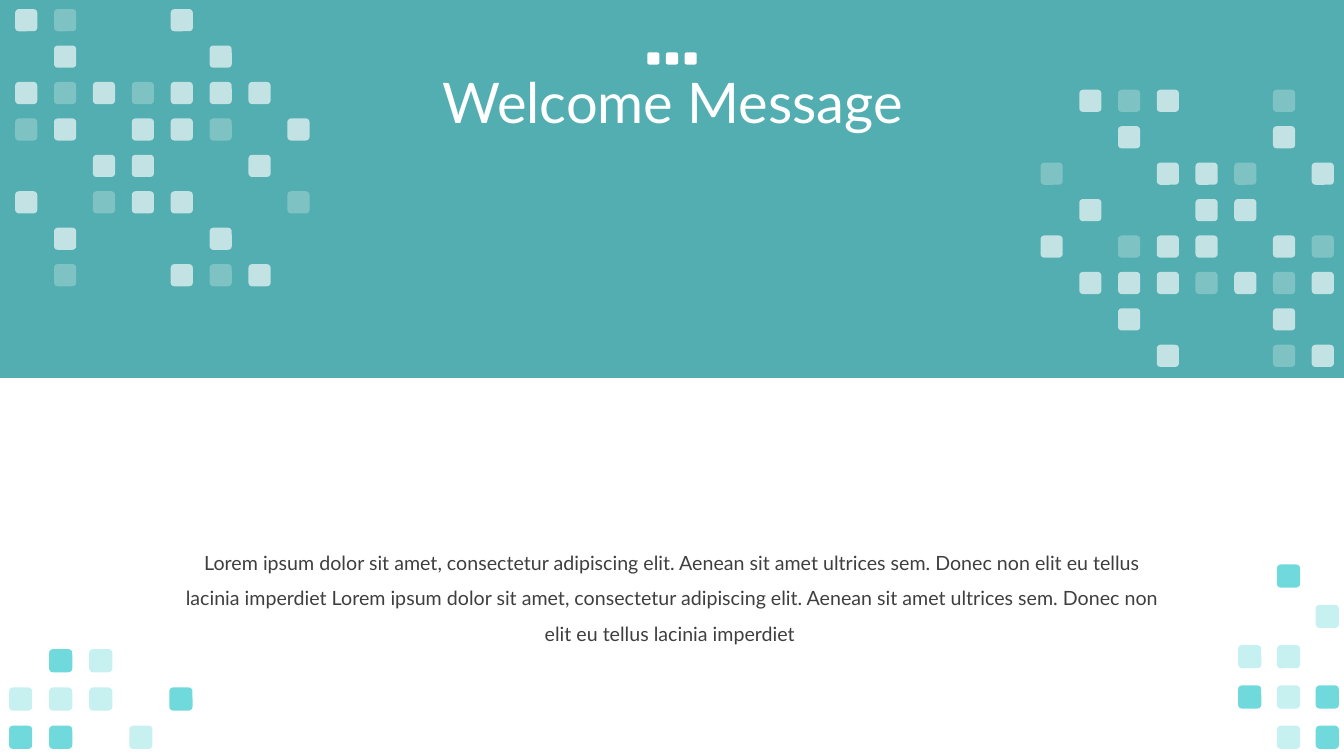
"""Build a welcome slide with a teal band and mosaics of rounded squares."""
from lxml.etree import SubElement
from pptx import Presentation
from pptx.dml.color import RGBColor
from pptx.enum.shapes import MSO_SHAPE
from pptx.enum.text import MSO_ANCHOR, MSO_AUTO_SIZE, PP_ALIGN
from pptx.oxml.ns import qn
from pptx.util import Emu, Pt

PX = 9144
WHITE, TEAL, AQUA, GREY = "FFFFFF", "1A9497", "23C5CA", "3F3F3F"
OPACITY = {"#": 65, "-": 25, "@": 100}

BAND_MOSAIC = [
    "#-..#...",
    ".#...#..",
    "#-#-###.",
    "-#.##-.#",
    "..##..#.",
    "#.-##..-",
    ".#...#..",
    ".-..#-#.",
]
LEFT_CORNER = [".#-..", "---.#", "##.-."]
RIGHT_CORNER = [".#.", "..-", "--.", "#-#", ".-#"]

MESSAGE = (
    "Lorem ipsum dolor sit amet, consectetur adipiscing elit. Aenean sit amet "
    "ultrices sem. Donec non elit eu tellus lacinia imperdiet Lorem ipsum dolor "
    "sit amet, consectetur adipiscing elit. Aenean sit amet ultrices sem. Donec "
    "non elit eu tellus lacinia imperdiet "
)


def px(n):
    return Emu(round(n * PX))


def rgb(color):
    return RGBColor.from_string(color)


def add_block(shapes, kind, x, y, w, h, color, opacity):
    sp = shapes.add_shape(kind, px(x), px(y), px(w), px(h))
    sp.shadow.inherit = False
    sp.line.fill.background()
    sp.fill.solid()
    sp.fill.fore_color.rgb = rgb(color)
    if opacity < 100:
        clr = sp.element.spPr.find(qn("a:solidFill")).find(qn("a:srgbClr"))
        SubElement(clr, qn("a:alpha")).set("val", str(opacity * 1000))
    return sp


def add_mosaic(s, rows, x, y, span_x, span_y, size, color):
    group = s.shapes.add_group_shape()
    step_x = span_x / (len(rows[0]) - 1)
    step_y = span_y / max(len(rows) - 1, 1)
    for i, row in enumerate(rows):
        for j, mark in enumerate(row):
            if mark in OPACITY:
                add_block(group.shapes, MSO_SHAPE.ROUNDED_RECTANGLE,
                          x + j * step_x, y + i * step_y, size, size,
                          color, OPACITY[mark])


def set_text(sp, text, size, color, spacing):
    tf = sp.text_frame
    tf.word_wrap = True
    tf.text = text
    p = tf.paragraphs[0]
    p.alignment = PP_ALIGN.CENTER
    p.line_spacing = spacing
    p.font.name = "Lato"
    p.font.size = Pt(size)
    p.font.color.rgb = rgb(color)
    return tf


def add_title(s, text, x, y, w, h):
    title = s.shapes.title
    title.left, title.top, title.width, title.height = px(x), px(y), px(w), px(h)
    tf = set_text(title, text, 40, WHITE, 0.9)
    tf.vertical_anchor = MSO_ANCHOR.MIDDLE
    tf.auto_size = MSO_AUTO_SIZE.NONE


def add_message(s, text, x, y, w, h):
    box = s.shapes.add_textbox(px(x), px(y), px(w), px(h))
    tf = set_text(box, text, 14, GREY, 1.5)
    tf.auto_size = MSO_AUTO_SIZE.SHAPE_TO_FIT_TEXT


def main():
    prs = Presentation()
    prs.slide_width, prs.slide_height = px(1333), px(750)
    s = prs.slides.add_slide(prs.slide_layouts[5])

    band = add_block(s.shapes, MSO_SHAPE.RECTANGLE, 0, 0, 1333, 375, TEAL, 75)
    s.shapes.title.element.addprevious(band.element)
    add_title(s, "Welcome Message", 92, 32, 1150, 145)
    add_message(s, MESSAGE, 174, 530, 986, 111)

    turned = [row[::-1] for row in reversed(BAND_MOSAIC)]
    add_mosaic(s, ["@@@"], 642, 52, 37, 0, 12, WHITE)
    add_mosaic(s, BAND_MOSAIC, 15, 9, 270, 253, 22, WHITE)
    add_mosaic(s, turned, 1032, 89, 269, 253, 22, WHITE)
    add_mosaic(s, LEFT_CORNER, 9, 644, 159, 76, 23, AQUA)
    add_mosaic(s, RIGHT_CORNER, 1228, 560, 77, 160, 23, AQUA)
    prs.save("out.pptx")


if __name__ == "__main__":
    main()
